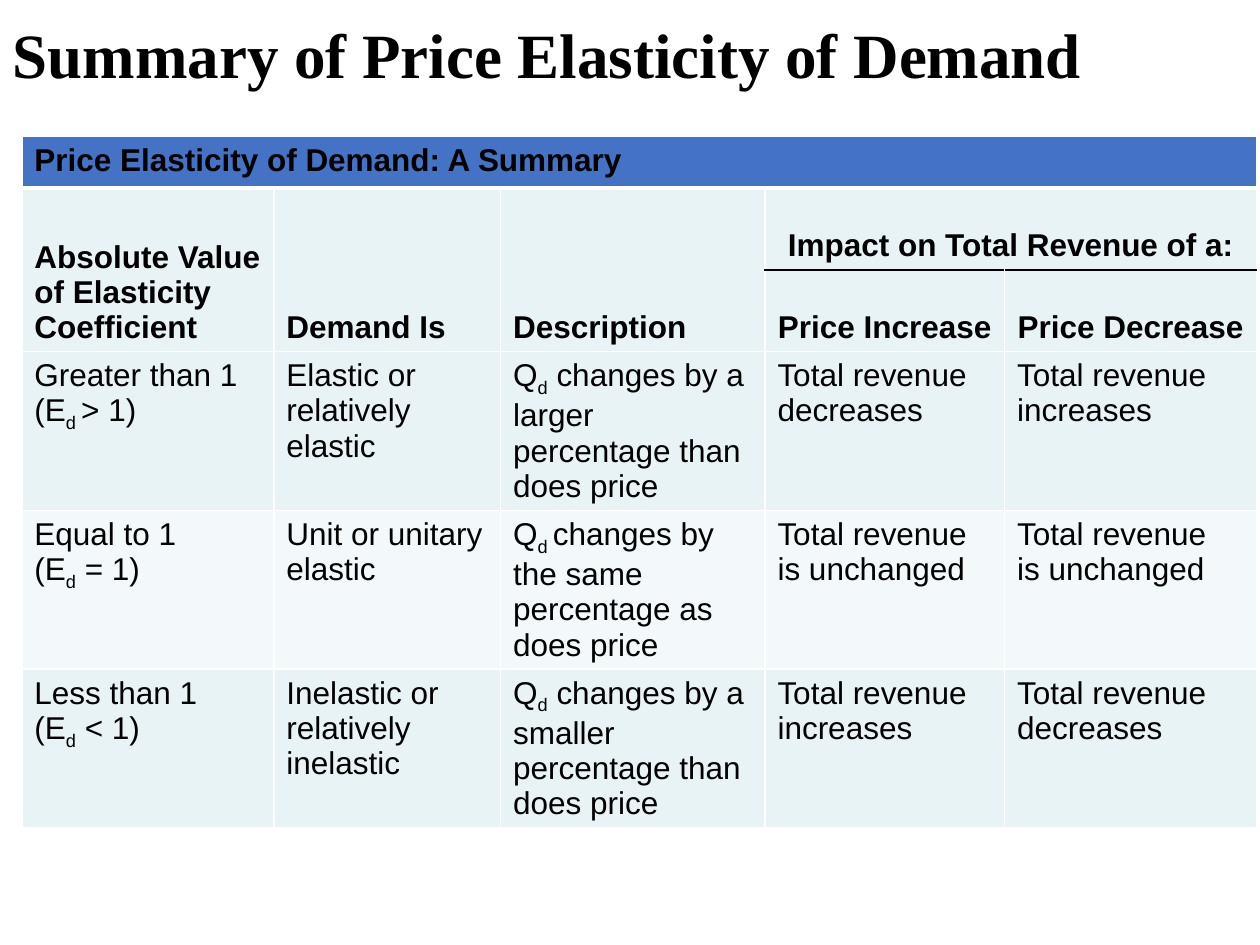
from lxml import etree
from pptx import Presentation
from pptx.dml.color import RGBColor
from pptx.enum.text import MSO_ANCHOR, MSO_AUTO_SIZE, PP_ALIGN
from pptx.oxml.ns import qn
from pptx.util import Cm, Pt

MIDDLE, BOTTOM, TOP = MSO_ANCHOR.MIDDLE, MSO_ANCHOR.BOTTOM, MSO_ANCHOR.TOP
LEFT, CENTER = PP_ALIGN.LEFT, PP_ALIGN.CENTER

COLORS = {"text": "000000", "line": "FFFFFF", "rule": "000000",
          "banner": "4472C4", "dark band": "E7F3F4", "light band": "F3F9FA"}

TITLE = "Summary of Price Elasticity of Demand"
# "|" switches subscript on and off; a line break starts a new paragraph.
ROWS = [
    ["Price Elasticity of Demand: A Summary", "", "", "", ""],
    ["Absolute Value of Elasticity Coefficient", "Demand Is", "Description",
     "Impact on Total Revenue of a:", ""],
    ["", "", "", "Price Increase", "Price Decrease"],
    ["Greater than 1\n(E|d |> 1)", "Elastic or relatively elastic",
     "Q|d| changes by a larger percentage than does price",
     "Total revenue decreases", "Total revenue increases"],
    ["Equal to 1\n(E|d| = 1)", "Unit or unitary elastic",
     "Q|d |changes by the same percentage as does price",
     "Total revenue is unchanged", "Total revenue\nis unchanged"],
    ["Less than 1\n(E|d| < 1)", "Inelastic or relatively inelastic",
     "Q|d| changes by a smaller percentage than does price",
     "Total revenue increases", "Total revenue decreases"],
]
BANDS = ["banner"] + ["dark band"] * 3 + ["light band", "dark band"]
MERGES = [((0, 0), (0, 4)), ((1, 3), (1, 4))] + [((1, c), (2, c)) for c in range(3)]
COLUMN_WIDTHS = [5.08, 4.57, 5.33, 4.83, 5.08]
ROW_HEIGHTS = [1.04, 1.65, 1.65, 3.2, 3.2, 3.2]
HEADER_ROWS = 3


def style_font(font, name, size, bold):
    font.name, font.size, font.bold = name, Pt(size), bold
    font.color.rgb = RGBColor.from_string(COLORS["text"])


def add_border(cell, side, color, width):
    line = etree.SubElement(cell._tc.get_or_add_tcPr(), qn(f"a:ln{side}"), w=str(Pt(width)))
    fill = etree.SubElement(line, qn("a:solidFill"))
    etree.SubElement(fill, qn("a:srgbClr"), val=COLORS[color])


def draw_borders(cell, row, column):
    """White grid, thick under the banner, with a black rule under the revenue heading."""
    for side in "LR":
        add_border(cell, side, "line", 1)
    for side, edge in (("T", row), ("B", row + 1)):
        ruled = edge == 2 and column >= 3
        add_border(cell, side, "rule" if ruled else "line", 3 if edge == 1 else 1)


def write_cell(cell, text, bold, align):
    frame = cell.text_frame
    for index, line in enumerate(text.split("\n")):
        para = frame.add_paragraph() if index else frame.paragraphs[0]
        para.alignment = align
        style_font(para.font, "Arial", 18, bold)
        for part, words in enumerate(line.split("|")):
            span = para.add_run()
            span.text = words
            style_font(span.font, "Arial", 18, bold)
            if part % 2:
                span._r.get_or_add_rPr().set("baseline", "-25000")


def add_title(page):
    title = page.shapes.title
    title.left, title.top, title.width, title.height = Cm(0), Cm(0), Cm(25.4), Cm(2.34)
    frame = title.text_frame
    frame.text = TITLE
    frame.vertical_anchor = MIDDLE
    frame.auto_size = MSO_AUTO_SIZE.NONE
    para = frame.paragraphs[0]
    para.alignment, para.line_spacing = LEFT, 0.9
    style_font(para.font, "Times New Roman", 36, True)


def add_summary_table(page):
    table = page.shapes.add_table(
        len(ROWS), len(COLUMN_WIDTHS), Cm(0.44), Cm(2.75),
        Cm(sum(COLUMN_WIDTHS)), Cm(sum(ROW_HEIGHTS))).table
    table.first_row = table.horz_banding = False
    for column, width in zip(table.columns, COLUMN_WIDTHS):
        column.width = Cm(width)
    for row, height in zip(table.rows, ROW_HEIGHTS):
        row.height = Cm(height)
    for first, last in MERGES:
        table.cell(*first).merge(table.cell(*last))
    for r, texts in enumerate(ROWS):
        for c, text in enumerate(texts):
            cell = table.cell(r, c)
            draw_borders(cell, r, c)
            cell.fill.solid()
            cell.fill.fore_color.rgb = RGBColor.from_string(COLORS[BANDS[r]])
            heading = 0 < r < HEADER_ROWS
            cell.vertical_anchor = BOTTOM if heading else TOP
            if text:
                write_cell(cell, text, r < HEADER_ROWS, CENTER if heading and c >= 3 else LEFT)


def main():
    deck = Presentation()
    deck.slide_width, deck.slide_height = Cm(25.4), Cm(19.05)
    page = deck.slides.add_slide(deck.slide_layouts[5])
    add_title(page)
    add_summary_table(page)
    deck.save("out.pptx")


if __name__ == "__main__":
    main()
